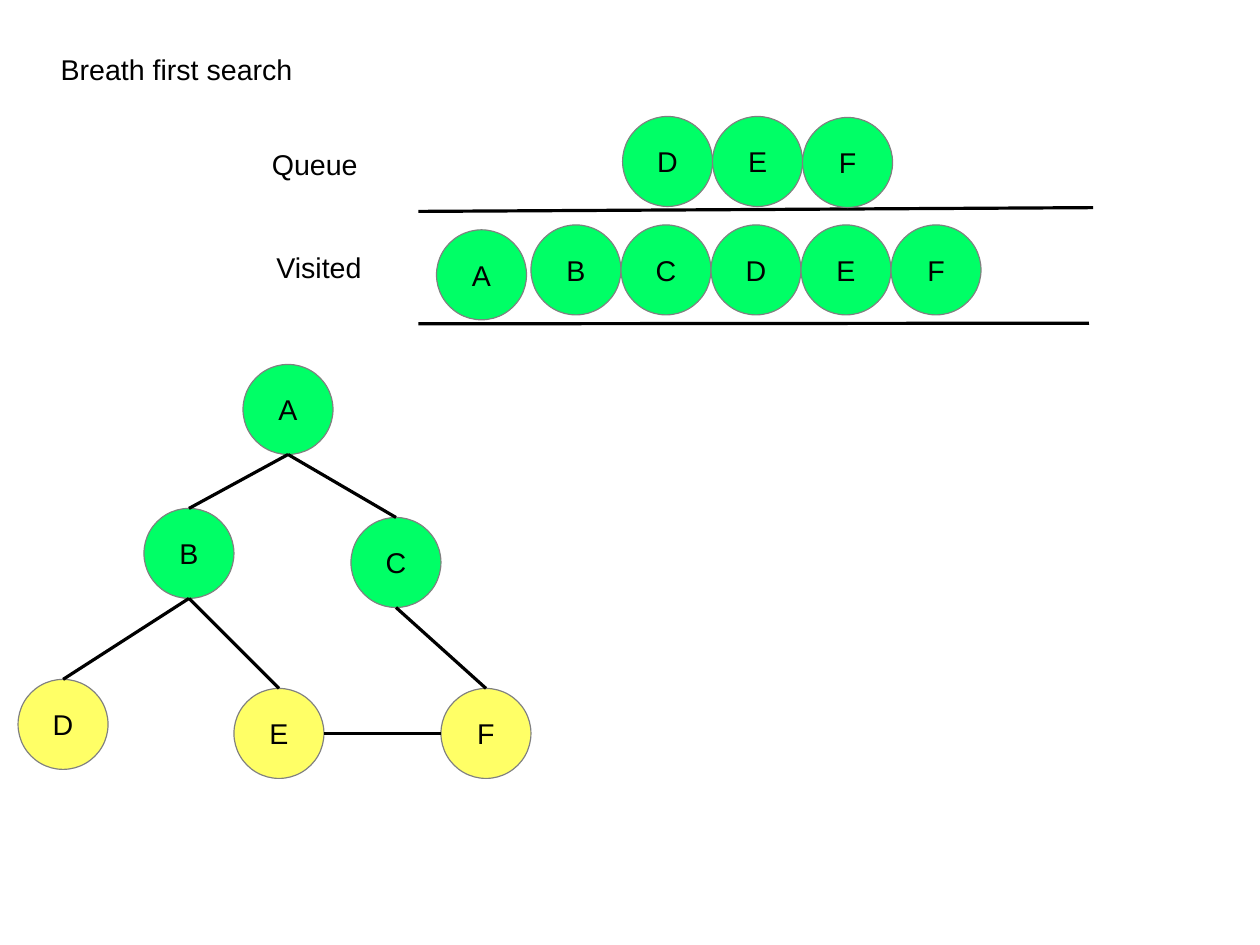
from dataclasses import dataclass

from lxml import etree
from pptx import Presentation
from pptx.dml.color import RGBColor
from pptx.enum.shapes import MSO_CONNECTOR, MSO_SHAPE
from pptx.enum.text import MSO_ANCHOR, MSO_AUTO_SIZE, PP_ALIGN
from pptx.oxml.ns import qn
from pptx.util import Pt

OVAL = MSO_SHAPE.OVAL
STRAIGHT = MSO_CONNECTOR.STRAIGHT
TOP, MIDDLE = MSO_ANCHOR.TOP, MSO_ANCHOR.MIDDLE
LEFT, CENTER = PP_ALIGN.LEFT, PP_ALIGN.CENTER
NO_FIT = MSO_AUTO_SIZE.NONE

GREEN, YELLOW, GREY, BLACK = "00FF66", "FFFF66", "808080", "000000"
DIAMETER = 56.7
RADIUS = DIAMETER / 2


@dataclass
class Node:
    name: str
    x: float
    y: float
    fill: str = GREEN


@dataclass
class Label:
    text: str
    x: float
    y: float
    w: float
    h: float


def rgb(value: str) -> RGBColor:
    return RGBColor.from_string(value)


def write(sp, text: str, align=LEFT, anchor=TOP, inset=(7.2, 3.6),
          size: float = 18, color: str = BLACK, wrap: bool = True) -> None:
    tf = sp.text_frame
    tf.word_wrap, tf.auto_size, tf.vertical_anchor = wrap, NO_FIT, anchor
    tf.margin_left = tf.margin_right = Pt(inset[0])
    tf.margin_top = tf.margin_bottom = Pt(inset[1])
    p = tf.paragraphs[0]
    p.alignment = align
    r = p.add_run()
    r.text = text
    r.font.name, r.font.size = "Arial", Pt(size)
    r.font.color.rgb = rgb(color)


def add_node(s, node: Node):
    sp = s.shapes.add_shape(OVAL, Pt(node.x), Pt(node.y), Pt(DIAMETER), Pt(DIAMETER))
    sp.shadow.inherit = False
    sp.fill.solid()
    sp.fill.fore_color.rgb = rgb(node.fill)
    sp.line.color.rgb = rgb(GREY)
    sp.line.width = Pt(0)
    write(sp, node.name, align=CENTER, anchor=MIDDLE)
    return sp


def add_line(s, x1: float, y1: float, x2: float, y2: float):
    line = s.shapes.add_connector(STRAIGHT, Pt(x1), Pt(y1), Pt(x2), Pt(y2))
    line.line.color.rgb = rgb(BLACK)
    line.line.width = Pt(0)
    etree.SubElement(line._element.spPr, qn("a:effectLst"))
    return line


def add_label(s, label: Label) -> None:
    sp = s.shapes.add_textbox(Pt(label.x), Pt(label.y), Pt(label.w), Pt(label.h))
    write(sp, label.text)


def row(names: str, x: float, y: float) -> list[Node]:
    """Circles that touch each other, from left to right."""
    return [Node(name, x + i * DIAMETER, y) for i, name in enumerate(names)]


TREE = [
    Node("A", 153.1, 229.6),
    Node("B", 90.7, 320.3),
    Node("C", 221.1, 326),
    Node("D", 11.4, 428),
    Node("E", 147.4, 433.7, YELLOW),
    Node("F", 277.8, 433.7, YELLOW),
]
TREE[3].fill = YELLOW
BRANCHES = ["AB", "AC", "BD", "BE", "CF"]
QUEUE = row("DE", 392.2, 73.4) + [Node("F", 505.6, 74)]
VISITED = [Node("A", 275, 144.8)] + row("BCDEF", 334.5, 141.7)
RAILS = [(688.6, 130.8, 263.5, 133.2), (686, 203.6, 263.5, 204)]
LABELS = [Label("Queue", 164.2, 89.3, 79.2, 29.5),
          Label("Visited", 167, 154.1, 113, 27.4)]


def main() -> None:
    prs = Presentation()
    prs.slide_width, prs.slide_height = Pt(793.7), Pt(595.3)
    s = prs.slides.add_slide(prs.slide_layouts[5])

    # Title
    title = s.shapes.title
    title.left, title.top = Pt(28.1), Pt(25.9)
    title.width, title.height = Pt(380.2), Pt(53.3)
    write(title, "Breath first search", inset=(10.1, 6.5))

    # Tree: nodes, branches from parent to child, and the E-F link
    nodes = {node.name: node for node in TREE}
    circles = {node.name: add_node(s, node) for node in TREE}
    for parent, child in BRANCHES:
        a, b = nodes[parent], nodes[child]
        line = add_line(s, a.x + RADIUS, a.y + DIAMETER, b.x + RADIUS, b.y)
        line.end_connect(circles[child], 0)
    e, f = nodes["E"], nodes["F"]
    add_line(s, e.x + DIAMETER, e.y + RADIUS, f.x, f.y + RADIUS)

    # Queue and visited rows
    for label in LABELS:
        add_label(s, label)
    for rail in RAILS:
        add_line(s, *rail)
    for node in QUEUE + VISITED:
        add_node(s, node)

    prs.save("out.pptx")


if __name__ == "__main__":
    main()
